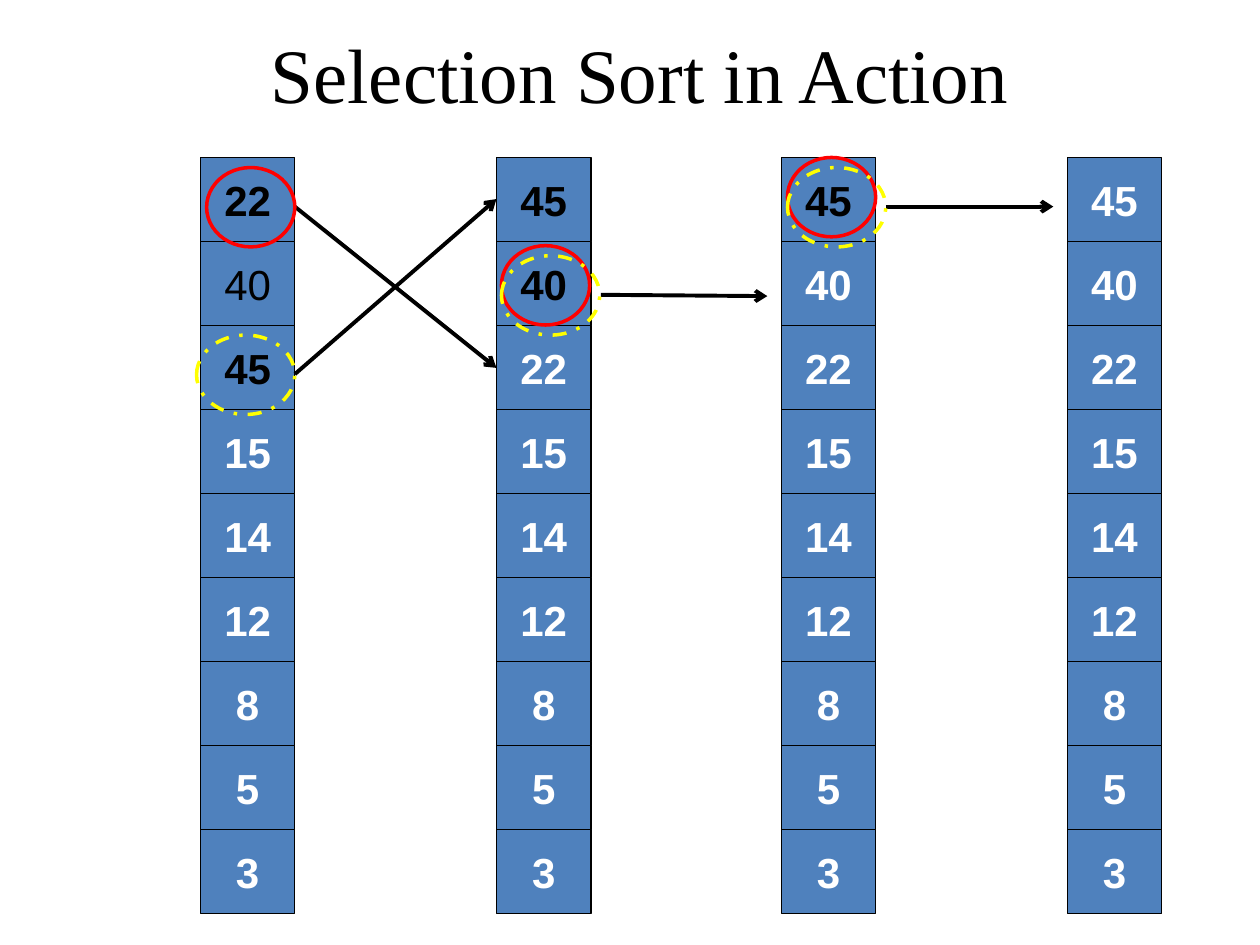
from lxml.etree import SubElement
from pptx import Presentation
from pptx.dml.color import RGBColor
from pptx.enum.dml import MSO_LINE
from pptx.enum.shapes import MSO_CONNECTOR, MSO_SHAPE
from pptx.enum.text import MSO_ANCHOR, PP_ALIGN
from pptx.oxml.ns import qn
from pptx.util import Inches, Pt

BLACK = RGBColor(0x00, 0x00, 0x00)
WHITE = RGBColor(0xFF, 0xFF, 0xFF)
BLUE = RGBColor(0x4F, 0x81, 0xBD)
RED = RGBColor(0xFF, 0x00, 0x00)
YELLOW = RGBColor(0xFF, 0xFF, 0x00)

TOP = 1.25
CELL_WIDTH = 0.75
CELL_HEIGHT = 2 / 3
SORTED_VALUES = [45, 40, 22, 15, 14, 12, 8, 5, 3]
UNSORTED_VALUES = [22, 40, 45] + SORTED_VALUES[3:]

PASSES = [
    (1.59, UNSORTED_VALUES, 3, []),
    (3.94, SORTED_VALUES, 2, [(2.34, 1.64, 3.94, 2.92), (2.34, 2.97, 3.94, 1.58)]),
    (6.2, SORTED_VALUES, 1, [(4.77, 2.34, 6.09, 2.35)]),
    (8.47, SORTED_VALUES, 0, [(7.03, 1.64, 8.36, 1.64)]),
]
TARGET_RINGS = [(1.64, 1.33), (3.98, 1.95), (6.25, 1.25)]
MAXIMUM_RINGS = [(1.56, 2.66), (3.98, 2.03), (6.25, 1.33)]


def style_text(frame, font_name, size, color, bold=False):
    """Centre the only paragraph of a frame and format its run."""
    paragraph = frame.paragraphs[0]
    paragraph.alignment = PP_ALIGN.CENTER
    font = paragraph.runs[0].font
    font.name, font.size, font.bold = font_name, Pt(size), bold
    font.color.rgb = color


def add_title(slide, text):
    """Add the slide heading."""
    title = slide.shapes.add_textbox(Inches(0.55), Inches(0.16), Inches(9.06), Inches(0.84))
    title.text_frame.word_wrap = True
    title.text_frame.text = text
    style_text(title.text_frame, "Times New Roman", 44, BLACK)


def add_cell(shapes, left, row, value, color, bold):
    """Add one array element."""
    cell = shapes.add_shape(
        MSO_SHAPE.RECTANGLE, Inches(left), Inches(TOP + row * CELL_HEIGHT),
        Inches(CELL_WIDTH), Inches(CELL_HEIGHT))
    cell.shadow.inherit = False
    cell.fill.solid()
    cell.fill.fore_color.rgb = BLUE
    cell.line.color.rgb = BLACK
    cell.line.width = Pt(0.75)
    frame = cell.text_frame
    frame.word_wrap = False
    frame.vertical_anchor = MSO_ANCHOR.MIDDLE
    frame.text = str(value)
    style_text(frame, "Arial", 24, color, bold)


def add_arrow(shapes, start_x, start_y, end_x, end_y):
    """Add an arrow showing where an element moves."""
    arrow = shapes.add_connector(
        MSO_CONNECTOR.STRAIGHT, Inches(start_x), Inches(start_y), Inches(end_x), Inches(end_y))
    arrow.line.color.rgb = BLACK
    arrow.line.width = Pt(2.25)
    SubElement(arrow.line._get_or_add_ln(), qn("a:tailEnd"), type="arrow")
    SubElement(arrow._element.spPr, qn("a:effectLst"))


def add_pass(slide, left, values, unsorted_count, moves):
    """Add the array after one pass, grouped with the moves leading to it."""
    shapes = slide.shapes.add_group_shape().shapes
    for row, value in enumerate(values):
        color = BLACK if row < unsorted_count else WHITE
        is_untouched = unsorted_count == 3 and row == 1
        add_cell(shapes, left, row, value, color, bold=not is_untouched)
    for move in moves:
        add_arrow(shapes, *move)


def add_ring(slide, left, top, width, color, dash=MSO_LINE.SOLID):
    """Add an unfilled ring around an element."""
    ring = slide.shapes.add_shape(
        MSO_SHAPE.OVAL, Inches(left), Inches(top), Inches(width), Inches(0.63))
    ring.shadow.inherit = False
    ring.fill.background()
    ring.line.color.rgb = color
    ring.line.width = Pt(2)
    ring.line.dash_style = dash


def main():
    """Build the selection sort slide."""
    deck = Presentation()
    deck.slide_width, deck.slide_height = Inches(10), Inches(7.5)
    slide = deck.slides.add_slide(deck.slide_layouts[6])
    add_title(slide, "Selection Sort in Action")
    for sort_pass in PASSES:
        add_pass(slide, *sort_pass)
    for target, maximum in zip(TARGET_RINGS, MAXIMUM_RINGS):
        add_ring(slide, *target, 0.7, RED)
        add_ring(slide, *maximum, 0.78, YELLOW, MSO_LINE.DASH_DOT)
    deck.save("out.pptx")


if __name__ == "__main__":
    main()
